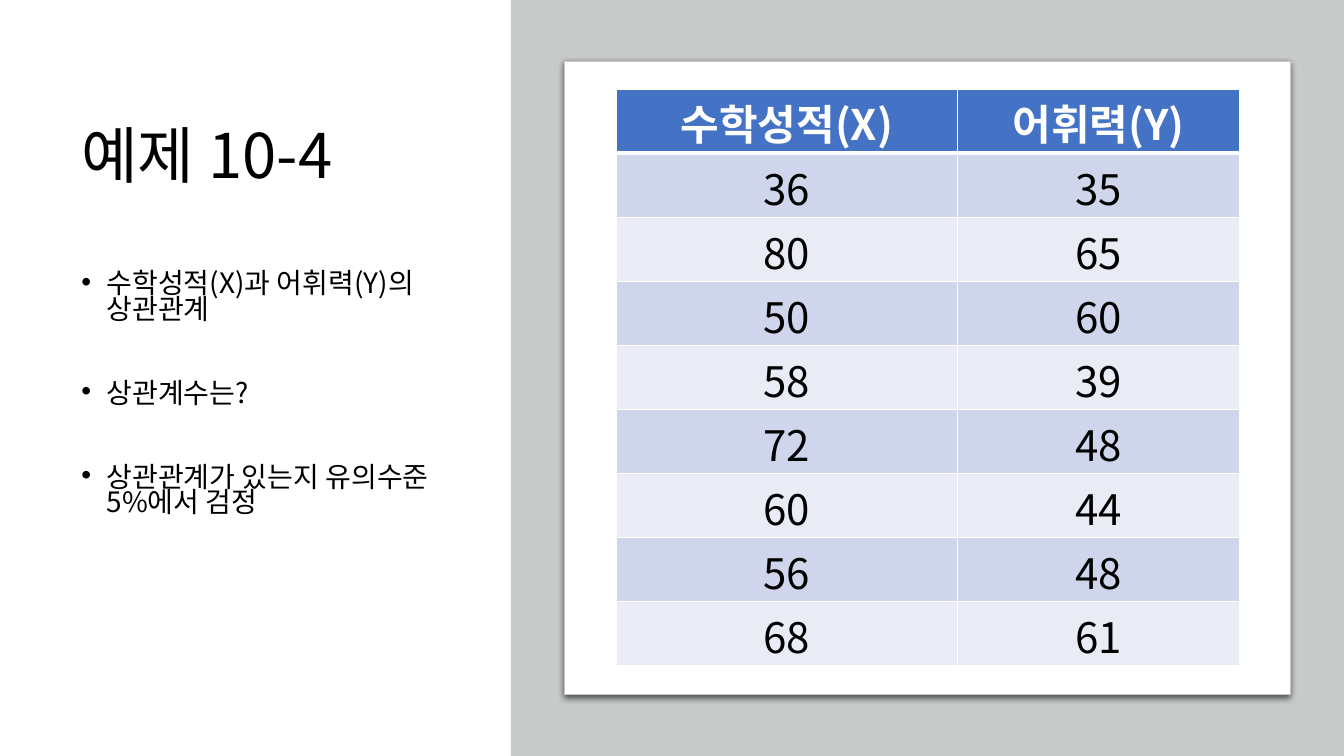
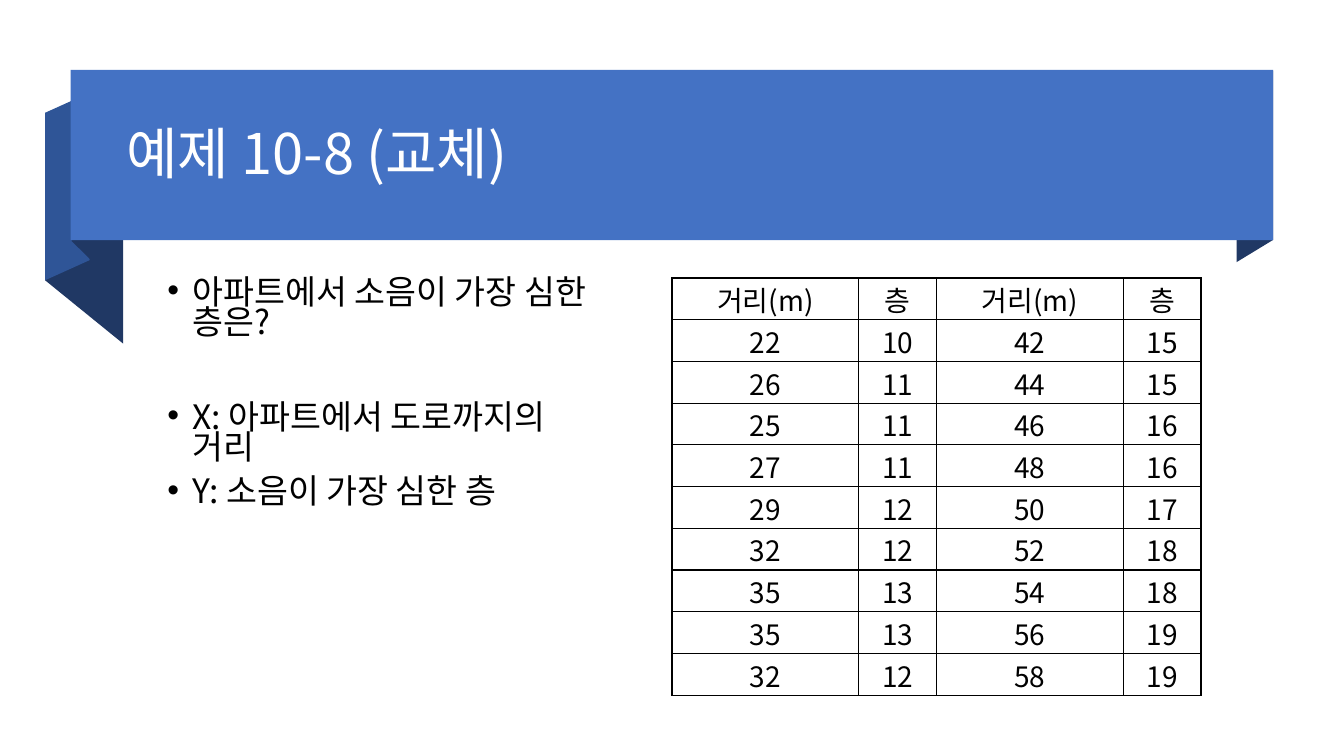
"""Builds two slides of statistics exercises, each with a table of data."""
import pptx
import pptx.util
import pptx.dml.color
import pptx.enum.shapes
import pptx.enum.text
import pptx.oxml.ns
import lxml.etree

Pt = pptx.util.Pt
RGB = pptx.dml.color.RGBColor
SHAPE = pptx.enum.shapes.MSO_SHAPE
MIDDLE = pptx.enum.text.MSO_ANCHOR.MIDDLE
TOP = pptx.enum.text.MSO_ANCHOR.TOP
CENTER = pptx.enum.text.PP_ALIGN.CENTER
qn = pptx.oxml.ns.qn

FONT = "Noto Sans CJK KR"
BLACK = RGB(0x00, 0x00, 0x00)
WHITE = RGB(0xFF, 0xFF, 0xFF)
GRAY = RGB(0xC8, 0xCA, 0xCA)
BLUE = RGB(0x44, 0x72, 0xC4)
MID = RGB(0x2F, 0x55, 0x97)
NAVY = RGB(0x20, 0x38, 0x64)
BANDS = (RGB(0xE9, 0xEB, 0xF5), RGB(0xCF, 0xD5, 0xEA))
WIDE, HIGH = 960, 540

SCORES = [
    ("수학성적(X)", "어휘력(Y)"),
    (36, 35), (80, 65), (50, 60), (58, 39),
    (72, 48), (60, 44), (56, 48), (68, 61),
]
NOISE = [
    ("거리(m)", "층", "거리(m)", "층"),
    (22, 10, 42, 15), (26, 11, 44, 15), (25, 11, 46, 16),
    (27, 11, 48, 16), (29, 12, 50, 17), (32, 12, 52, 18),
    (35, 13, 54, 18), (35, 13, 56, 19), (32, 12, 58, 19),
]
TASKS = [
    ("수학성적(X)과 어휘력(Y)의 상관관계", 0),
    ("상관계수는?", 42),
    ("상관관계가 있는지 유의수준 5%에서 검정", 42),
]
TERMS = [
    ("아파트에서 소음이 가장 심한 층은?", 0),
    ("X: 아파트에서 도로까지의 거리", 46),
    ("Y: 소음이 가장 심한 층", 10),
]
FOLDS = [
    (NAVY, [(909.4, 171.4), (883.4, 187.2), (883.4, 65.5), (909.4, 50.4)]),
    (NAVY, [(88, 245.5), (32.2, 200.2), (32.2, 80.6), (88, 126)]),
    (MID, [(64.1, 185.8), (32.2, 200.2), (32.2, 80.6), (64.1, 66.2)]),
    (NAVY, [(64.1, 185), (51.1, 172.1), (51.1, 50.4), (64.1, 64.1)]),
]


def sub(node, tag, **attrs):
    return lxml.etree.SubElement(node, qn(tag), attrs)


def style(para, size, color, bold=False):
    font = para.font
    font.size, font.bold, font.name = Pt(size), bold, FONT
    font.color.rgb = color
    sub(para._p.pPr.find(qn("a:defRPr")), "a:ea", typeface=FONT)


def frame(slide, box, anchor):
    text = slide.shapes.add_textbox(*map(Pt, box)).text_frame
    text.word_wrap = True
    text.vertical_anchor = anchor
    return text


def title(slide, box, words, size, color):
    para = frame(slide, box, MIDDLE).paragraphs[0]
    para.text, para.line_spacing = words, 0.9
    style(para, size, color)


def bullets(slide, box, items, size):
    text = frame(slide, box, TOP)
    for num, (words, gap) in enumerate(items):
        para = text.add_paragraph() if num else text.paragraphs[0]
        para.text, para.line_spacing = words, 0.75
        if gap:
            para.space_before = Pt(gap)
        props = para._p.get_or_add_pPr()
        props.set("marL", str(Pt(18)))
        props.set("indent", str(Pt(-18)))
        sub(props, "a:buFont", typeface="Arial")
        sub(props, "a:buChar", char="•")
        style(para, size, BLACK)


def paint(shape, color, edge=None):
    shape.shadow.inherit = False
    shape.fill.solid()
    shape.fill.fore_color.rgb = color
    if edge is None:
        shape.line.fill.background()
    else:
        shape.line.color.rgb = edge
        shape.line.width = Pt(0.75)


def block(slide, box, color, kind=SHAPE.RECTANGLE, edge=None):
    shape = slide.shapes.add_shape(kind, *map(Pt, box))
    paint(shape, color, edge)
    return shape


def fold(slide, color, spots):
    spots = [(Pt(x), Pt(y)) for x, y in spots]
    pen = slide.shapes.build_freeform(*spots[0])
    pen.add_line_segments(spots[1:], close=True)
    paint(pen.convert_to_shape(), color)


def borders(cell, color, top, bottom):
    props = cell._tc.get_or_add_tcPr()
    for side, width in (("L", 1), ("R", 1), ("T", top), ("B", bottom)):
        line = sub(props, "a:ln" + side, w=str(Pt(width)))
        sub(sub(line, "a:solidFill"), "a:srgbClr", val=str(color))


def grid(slide, spot, widths, height, rows, size, inset, banded):
    box = (*spot, sum(widths), height * len(rows))
    table = slide.shapes.add_table(
        len(rows), len(widths), *map(Pt, box)).table
    table.first_row = table.horz_banding = False
    for col, width in zip(table.columns, widths):
        col.width = Pt(width)
    for r, row in enumerate(rows):
        table.rows[r].height = Pt(height)
        head = banded and r == 0
        for c, value in enumerate(row):
            cell = table.cell(r, c)
            cell.margin_left = cell.margin_right = Pt(inset)
            cell.margin_top, cell.margin_bottom = Pt(inset), Pt(0)
            cell.vertical_anchor = MIDDLE
            borders(cell, WHITE if banded else BLACK,
                    3 if banded and r == 1 else 1, 3 if head else 1)
            if banded:
                cell.fill.solid()
                cell.fill.fore_color.rgb = BLUE if head else BANDS[r % 2]
            else:
                cell.fill.background()
            para = cell.text_frame.paragraphs[0]
            para.text, para.alignment = str(value), CENTER
            style(para, size, WHITE if head else BLACK, head)


def scores(slide):
    title(slide, (51, 50, 276, 127), "예제 10-4", 44, BLACK)
    bullets(slide, (51, 192, 276, 298), TASKS, 20)
    block(slide, (365, 0, WIDE - 365, HIGH), GRAY)
    card = block(slide, (403, 44, 518.5, 452), WHITE,
                 SHAPE.ROUNDED_RECTANGLE, GRAY)
    card.adjustments[0] = 0
    glow = sub(card._element.spPr.find(qn("a:effectLst")), "a:outerShdw",
               blurRad=str(Pt(4.5)), dist=str(Pt(1.5)), dir="5400000",
               algn="t", rotWithShape="0")
    sub(sub(glow, "a:srgbClr", val=str(BLACK)), "a:alpha", val="63000")
    grid(slide, (440, 63.6), (244, 201.5), 45.8, SCORES, 30, 2.2, True)


def noise(slide):
    for color, spots in FOLDS:
        fold(slide, color, spots)
    block(slide, (50.5, 50, 859, 121.5), BLUE)
    title(slide, (83, 60, 811, 104), "예제 10-8 (교체)", 40, WHITE)
    bullets(slide, (112.5, 196.5, 319, 281), TERMS, 24)
    grid(slide, (480, 198.6), (133.5, 55.5) * 2, 29.8, NOISE, 20, 0.7, False)


def main():
    deck = pptx.Presentation()
    deck.slide_width, deck.slide_height = Pt(WIDE), Pt(HIGH)
    for draw in (scores, noise):
        draw(deck.slides.add_slide(deck.slide_layouts[6]))
    deck.save("out.pptx")


if __name__ == "__main__":
    main()
